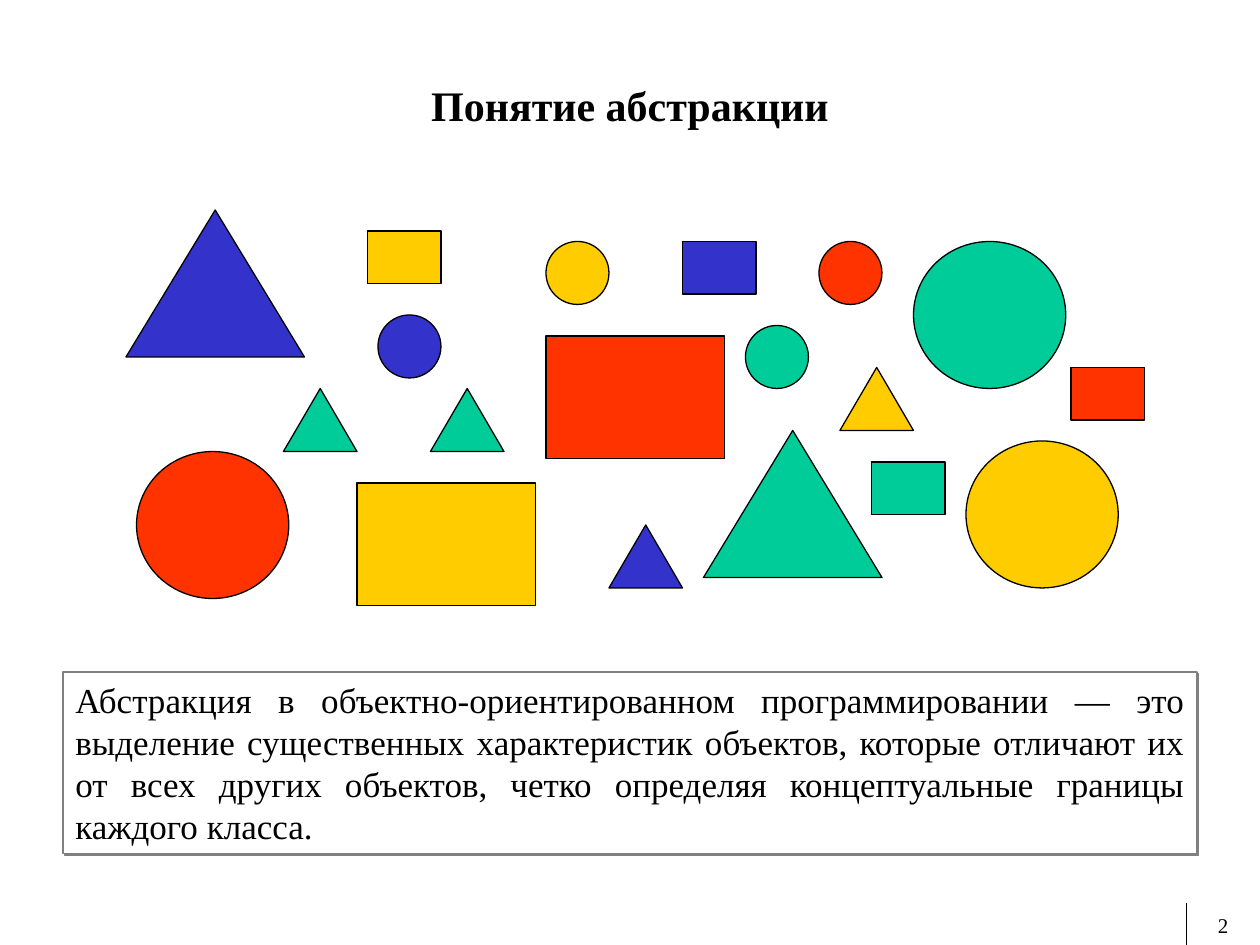
import pptx
import pptx.util
import pptx.dml.color
import pptx.enum.shapes
import pptx.enum.text
import pptx.oxml
import pptx.oxml.ns

Kind = pptx.enum.shapes.MSO_SHAPE
Align = pptx.enum.text.PP_ALIGN
Anchor = pptx.enum.text.MSO_ANCHOR

# Content
TITLE = "Понятие абстракции"
DEFINITION = (
    "Абстракция в объектно-ориентированном программировании — это выделение "
    "существенных характеристик объектов, которые отличают их от всех других "
    "объектов, четко определяя концептуальные границы каждого класса. "
)
PAGE_NUMBER = "2"

# Figures: size class, colour, column and row of the top left corner
FIGURES = [
    ("large rectangle", "yellow", 34, 46),
    ("small rectangle", "yellow", 35, 22),
    ("small triangle", "green", 41, 37),
    ("small circle", "yellow", 52, 23),
    ("large rectangle", "red", 52, 32),
    ("large triangle", "green", 67, 41),
    ("large circle", "green", 87, 23),
    ("small rectangle", "red", 102, 35),
    ("small triangle", "green", 27, 37),
    ("small circle", "blue", 36, 30),
    ("small rectangle", "blue", 65, 23),
    ("small triangle", "yellow", 80, 35),
    ("small circle", "red", 78, 23),
    ("small rectangle", "green", 83, 44),
    ("small triangle", "blue", 58, 50),
    ("small circle", "green", 71, 31),
    ("large triangle", "blue", 12, 20),
    ("large circle", "yellow", 92, 42),
    ("large circle", "red", 13, 43),
]

# Size classes: preset, columns, rows
FORMS = {
    "small rectangle": (Kind.RECTANGLE, 7, 5),
    "large rectangle": (Kind.RECTANGLE, 17, 11.67),
    "small triangle": (Kind.ISOSCELES_TRIANGLE, 7, 6),
    "large triangle": (Kind.ISOSCELES_TRIANGLE, 17, 14),
    "small circle": (Kind.OVAL, 6, 6),
    "large circle": (Kind.OVAL, 14.5, 14),
}

THEME = {
    "font": "Times New Roman",
    "title": 24, "body": 20, "number": 12, "line": 0.75,
    "yellow": "FFCC00", "green": "00CC99", "red": "FF3300", "blue": "3333CC",
    "black": "000000", "white": "FFFFFF", "grey": "808080",
}

# Grid of 120 columns by 90 rows
COLUMNS, ROWS = 120, 90
deck = pptx.Presentation()
deck.slide_width = pptx.util.Inches(10)
deck.slide_height = pptx.util.Inches(7.5)
page = deck.slides.add_slide(deck.slide_layouts[6])


def place(column, row, width, height):
    across = deck.slide_width / COLUMNS
    down = deck.slide_height / ROWS
    return (round(column * across), round(row * down),
            round(width * across), round(height * down))


def colour(name):
    return pptx.dml.color.RGBColor.from_string(THEME[name])


def add_figure(kind, area, fill, outline="black"):
    figure = page.shapes.add_shape(kind, *place(*area))
    figure.shadow.inherit = False
    figure.fill.solid()
    figure.fill.fore_color.rgb = colour(fill)
    figure.line.color.rgb = colour(outline)
    figure.line.width = pptx.util.Pt(THEME["line"])
    return figure


def write(box, text, size, align, anchor=Anchor.TOP, bold=False):
    frame = box.text_frame
    frame.word_wrap = True
    frame.vertical_anchor = anchor
    frame.text = text
    para = frame.paragraphs[0]
    para.alignment = align
    font = para.runs[0].font
    font.name = THEME["font"]
    font.size = pptx.util.Pt(THEME[size])
    font.bold = bold
    font.color.rgb = colour("black")


# Title
title = page.shapes.add_textbox(*place(5, 7, 110, 6))
write(title, TITLE, "title", Align.CENTER, Anchor.MIDDLE, bold=True)

# Coloured figures
for form, fill, column, row in FIGURES:
    kind, width, height = FORMS[form]
    add_figure(kind, (column, row, width, height), fill)

# Definition with a hard shadow
definition = add_figure(Kind.RECTANGLE, (6, 64, 108, 17.28), "white", "grey")
write(definition, DEFINITION, "body", Align.JUSTIFY)
effects = definition._element.spPr.find(pptx.oxml.ns.qn("a:effectLst"))
effects.append(pptx.oxml.parse_xml(
    f'<a:outerShdw {pptx.oxml.ns.nsdecls("a")} dist="{pptx.util.Pt(1.4)}" '
    f'dir="2700000" algn="ctr" rotWithShape="0">'
    f'<a:srgbClr val="{THEME["grey"]}"/></a:outerShdw>'))

# Page number and its rule
number = page.shapes.add_textbox(*place(113, 86.3, 7, 3.6))
write(number, PAGE_NUMBER, "number", Align.CENTER)
left, top, width, height = place(113, 86, 0, 4)
rule = page.shapes.add_connector(
    pptx.enum.shapes.MSO_CONNECTOR.STRAIGHT, left, top, left, top + height)
rule.line.color.rgb = colour("black")
rule.line.width = pptx.util.Pt(THEME["line"])
rule._element.spPr.append(pptx.oxml.parse_xml(
    f'<a:effectLst {pptx.oxml.ns.nsdecls("a")}/>'))

deck.save("out.pptx")
